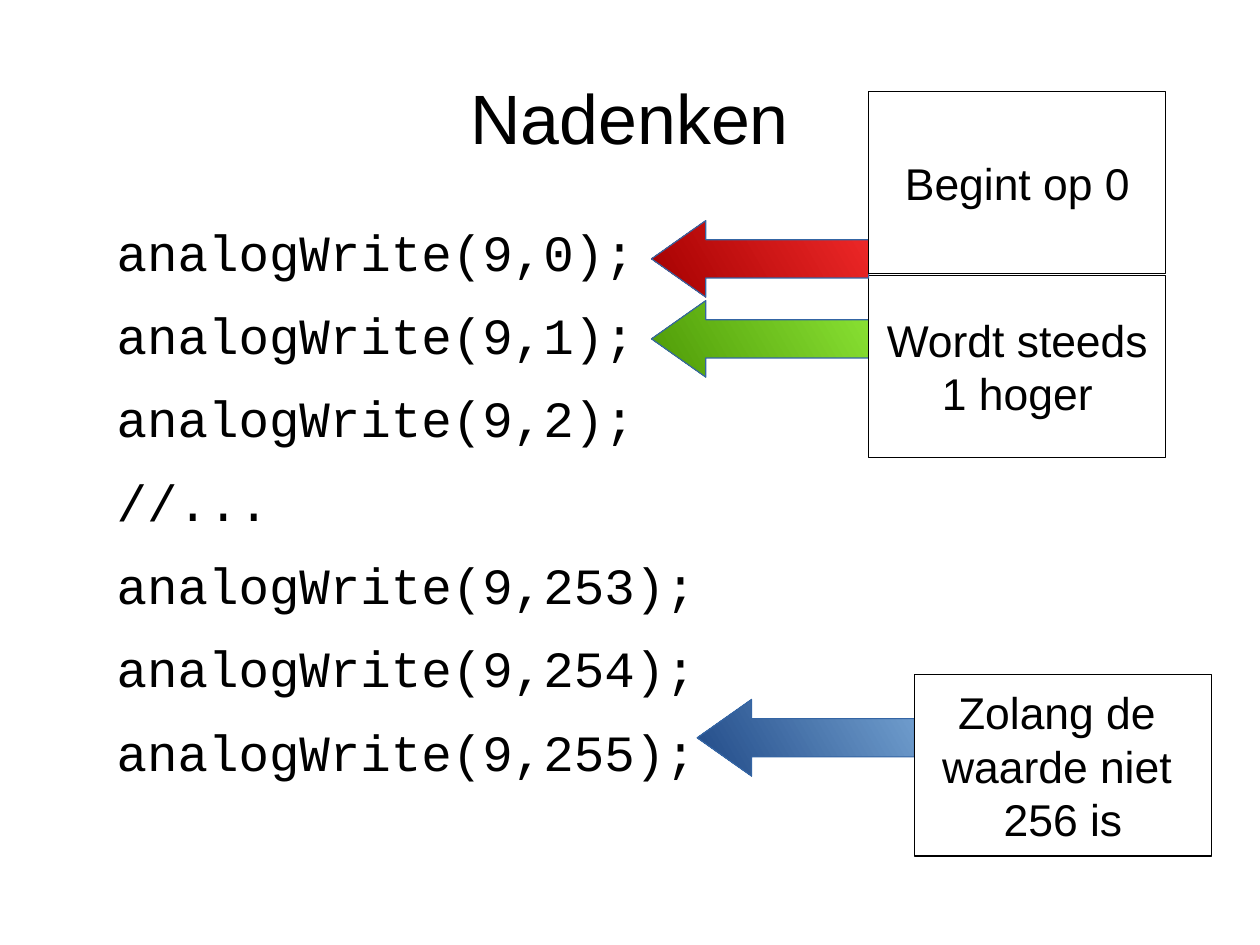
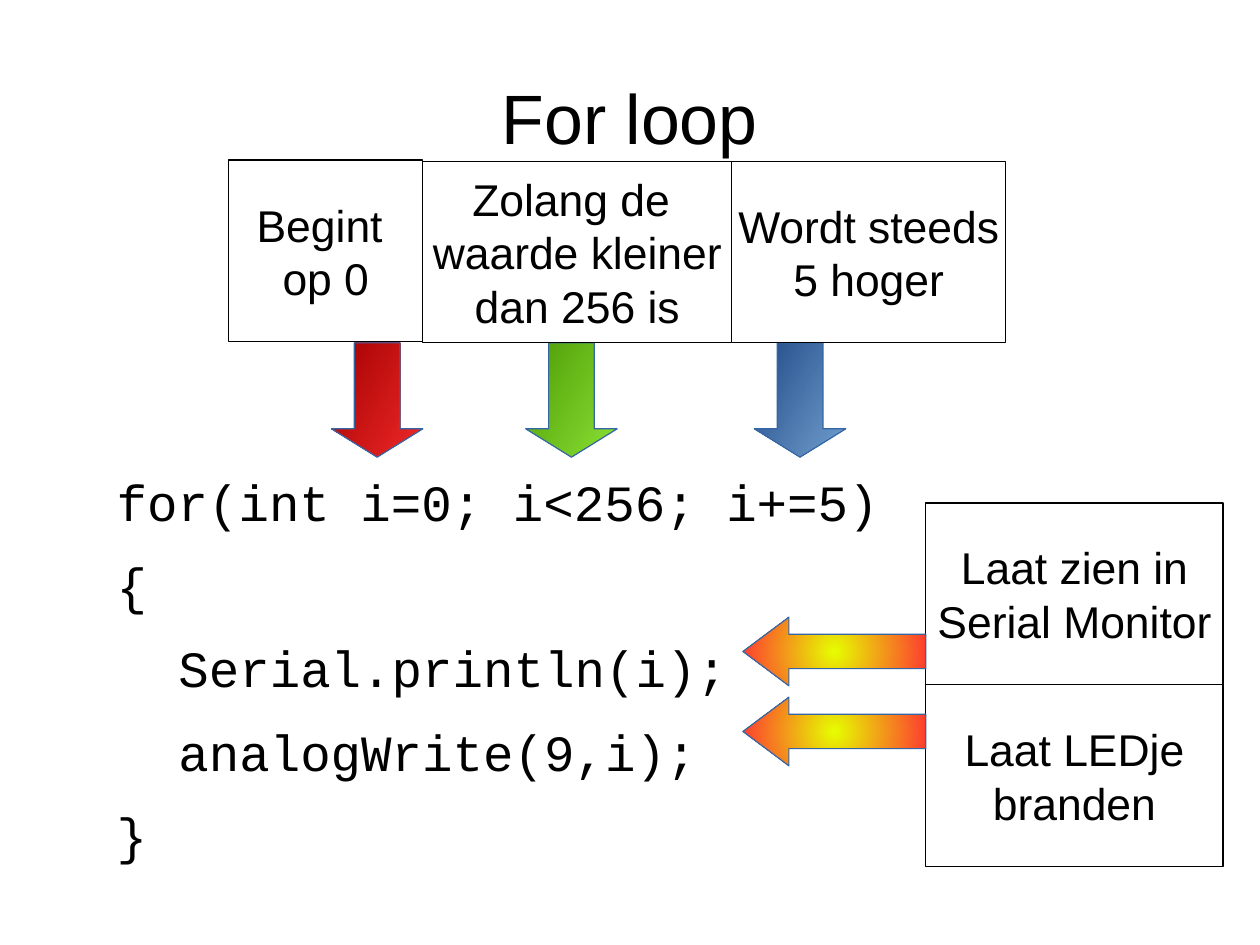
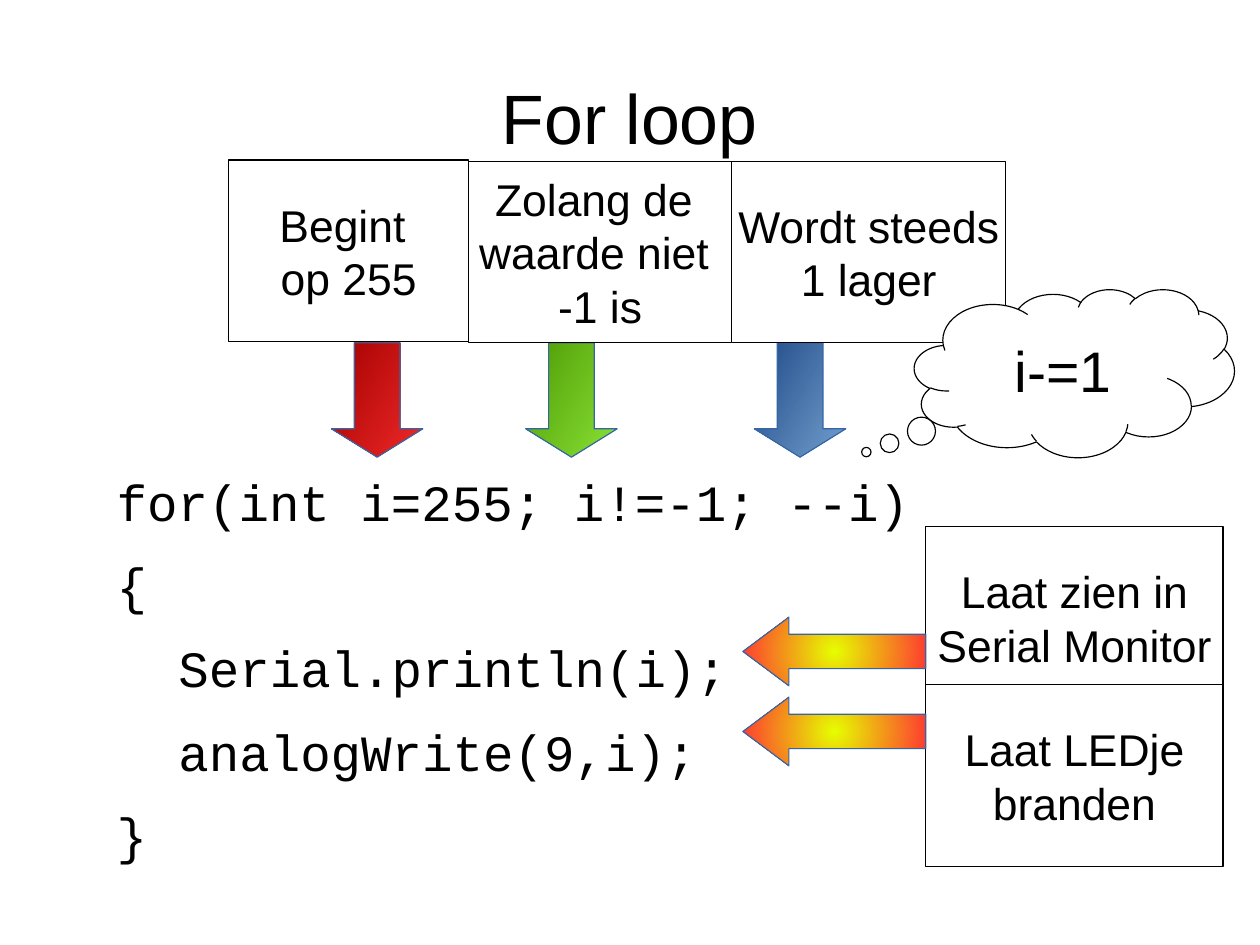
from lxml import etree
from pptx import Presentation
from pptx.dml.color import RGBColor
from pptx.enum.shapes import MSO_SHAPE as SHAPE
from pptx.enum.text import MSO_ANCHOR as ANCHOR, PP_ALIGN as ALIGN
from pptx.oxml import parse_xml
from pptx.oxml.ns import nsdecls, qn
from pptx.util import Cm, Inches, Pt

# Shared style
COLORS = {
    "text": "000000", "paper": "FFFFFF", "arrow_line": "3465A4",
    "red_light": "EF2929", "red_dark": "A40000",
    "green_light": "8AE234", "green_dark": "4E9A06",
    "blue_light": "729FCF", "blue_dark": "204A87",
    "glow_light": "E6FF00", "glow_dark": "FF3333",
}
SANS, MONO = "Arial", "Courier New"
BOX_W, BOX_H = 2.6, 1.59
CODE_TOP, CODE_LINE, CODE_GAP = 1.93, 38.3, 14.2  # inches, points, points
CODE_INDENT = 0.54  # two characters


def rgb(name):
    return RGBColor.from_string(COLORS[name])


def set_font(p, name, size):
    p.font.name, p.font.size = name, Pt(size)
    p.font.color.rgb = rgb("text")


def text_box(s, left, top, width, height):
    tf = s.shapes.add_textbox(*map(Inches, (left, top, width, height))).text_frame
    tf.word_wrap = True
    tf.margin_left = tf.margin_right = tf.margin_top = tf.margin_bottom = 0
    return tf


def add_title(s, text):
    tf = text_box(s, 0.55, 0.33, 9.92, 1.38)
    tf.vertical_anchor = ANCHOR.MIDDLE
    p = tf.paragraphs[0]
    p.text, p.alignment = text, ALIGN.CENTER
    set_font(p, SANS, 44)


def add_code(s, lines, first_row=0):
    """Write (indent level, text) lines on the shared row grid."""
    pitch = (CODE_LINE + CODE_GAP) / 72
    tf = text_box(s, 1.02, CODE_TOP + first_row * pitch, 9.45, len(lines) * pitch)
    tf.text = "\n".join(text for _, text in lines)
    for p, (level, _) in zip(tf.paragraphs, lines):
        set_font(p, MONO, 32)
        p.line_spacing, p.space_after = Pt(CODE_LINE), Pt(CODE_GAP)
        p._p.get_or_add_pPr().set("marL", str(Inches(level * CODE_INDENT)))


def add_preset(s, kind, left, top, width, height, line):
    sp = s.shapes.add_shape(kind, *map(Inches, (left, top, width, height)))
    sp.shadow.inherit = False
    sp.line.color.rgb = rgb(line)
    sp.line.width = Pt(0)
    return sp


def add_label(s, text, left, top, width=BOX_W, height=BOX_H,
              kind=SHAPE.RECTANGLE, size=28):
    sp = add_preset(s, kind, left, top, width, height, "text")
    sp.fill.solid()
    sp.fill.fore_color.rgb = rgb("paper")
    tf = sp.text_frame
    tf.text, tf.word_wrap, tf.vertical_anchor = text, False, ANCHOR.MIDDLE
    for p in tf.paragraphs:
        p.alignment = ALIGN.CENTER
        set_font(p, SANS, size)
    return sp


def add_arrow(s, kind, hue, left, top, width, height, head, angle=None):
    """Gradient arrow; without an angle the gradient is radial."""
    sp = add_preset(s, kind, left, top, width, height, "arrow_line")
    sp.adjustments[1] = head
    sp.fill.gradient()
    for stop, shade in zip(sp.fill.gradient_stops, ("light", "dark")):
        stop.color.rgb = rgb(f"{hue}_{shade}")
    if angle is not None:
        sp.fill.gradient_angle = angle
        return
    grad = sp._element.spPr.find(qn("a:gradFill"))
    grad.remove(grad.find(qn("a:lin")))
    radial = parse_xml(f'<a:path {nsdecls("a")} path="circle"/>')
    etree.SubElement(radial, qn("a:fillToRect"),
                     {side: "50000" for side in "ltrb"})
    grad.append(radial)


def pointing_label(s, text, hue, left, top, arrow_top):
    """Label with an arrow from its left edge to a code line."""
    add_arrow(s, SHAPE.LEFT_ARROW, hue, left - 1.9, arrow_top, 1.9, 0.67, 0.71, 210)
    add_label(s, text, left, top)


def new_slide(prs, title):
    s = prs.slides.add_slide(prs.slide_layouts[6])
    add_title(s, title)
    return s


def loop_slide(prs, header, labels, monitor_top):
    s = new_slide(prs, "For loop")
    body = [(0, header), (0, "{"), (1, "Serial.println(i);"),
            (1, "analogWrite(9,i);"), (0, "}")]
    add_code(s, body, first_row=3)

    # Labels side by side above the three parts of the header
    left = 2
    for (text, width), hue, arrow_left, top in zip(
            labels, ("red", "green", "blue"), (2.9, 4.6, 6.6), (1.4, 1.41, 1.41)):
        add_arrow(s, SHAPE.DOWN_ARROW, hue, arrow_left, 3, 0.8, 1, 0.31, 150)
        add_label(s, text, left, top, width)
        left += width

    # Labels for the two statements
    for text, top, arrow_top in (
            ("Laat zien in\nSerial Monitor", monitor_top, 5.4),
            ("Laat LEDje\nbranden", 5.99, 6.1)):
        add_label(s, text, 8.1, top)
        add_arrow(s, SHAPE.LEFT_ARROW, "glow", 6.5, arrow_top, 1.6, 0.6, 0.67)
    return s


def main():
    prs = Presentation()
    prs.slide_width, prs.slide_height = Cm(28), Cm(21)

    # Repeated calls
    s = new_slide(prs, "Nadenken")
    add_code(s, [(0, "//..." if n is None else f"analogWrite(9,{n});")
                 for n in (0, 1, 2, None, 253, 254, 255)])
    pointing_label(s, "Wordt steeds\n1 hoger", "green", 7.6, 2.41, 2.63)
    pointing_label(s, "Zolang de \nwaarde niet \n256 is", "blue", 8, 5.9, 6.12)
    pointing_label(s, "Begint op 0", "red", 7.6, 0.8, 1.93)

    # Counting up
    loop_slide(prs, "for(int i=0; i<256; i+=5)",
               [("Begint \nop 0", 1.7),
                ("Zolang de \nwaarde kleiner\ndan 256 is", 2.7),
                ("Wordt steeds\n5 hoger", 2.4)], 4.4)

    # Counting down
    s = loop_slide(prs, "for(int i=255; i!=-1; --i)",
                   [("Begint \nop 255", 2.1),
                    ("Zolang de \nwaarde niet \n-1 is", 2.3),
                    ("Wordt steeds\n1 lager", 2.4)], 4.61)
    cloud = add_label(s, "i-=1", 8, 2.53, 2.8, 1.47, SHAPE.CLOUD_CALLOUT, 36)
    cloud.adjustments[0], cloud.adjustments[1] = -0.65, 0.47

    prs.save("out.pptx")


if __name__ == "__main__":
    main()
